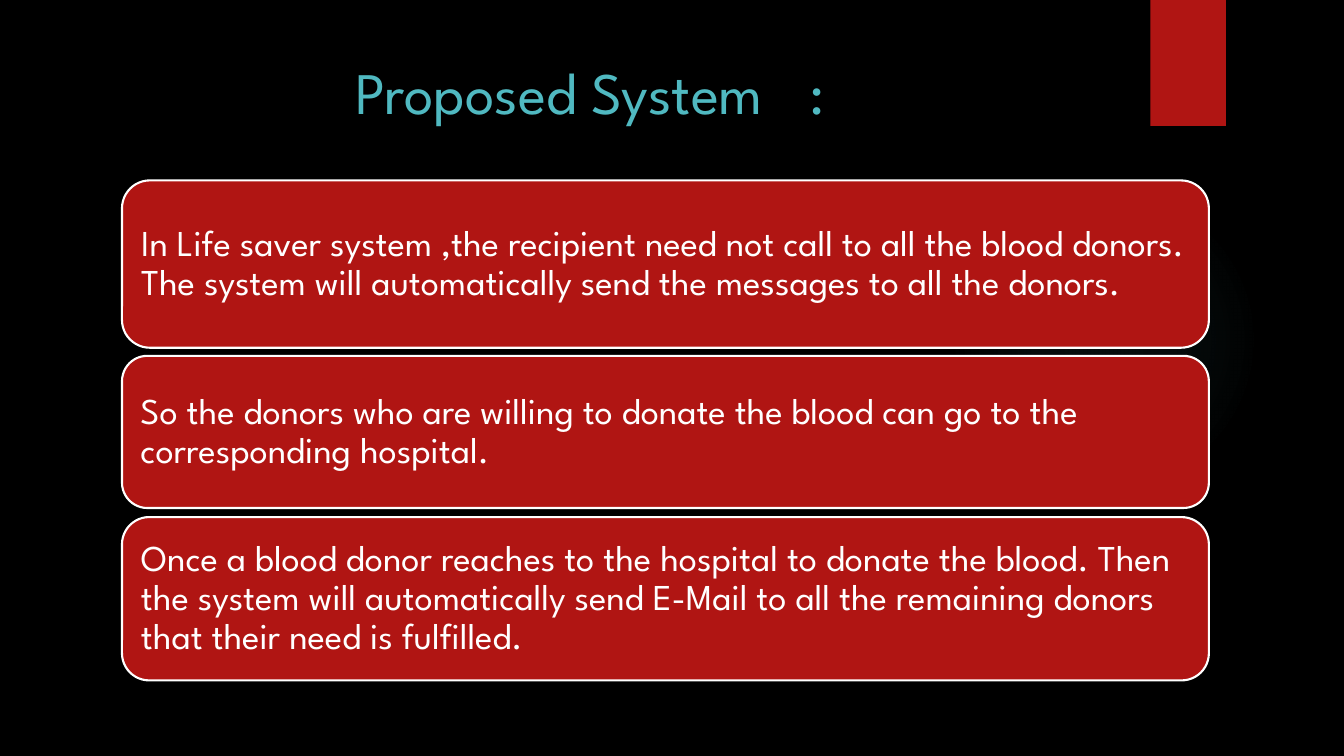
from lxml import etree
from pptx import Presentation
from pptx.dml.color import RGBColor
from pptx.enum.shapes import MSO_SHAPE as Shape
from pptx.enum.text import MSO_ANCHOR as Anchor, PP_ALIGN as Align
from pptx.oxml import parse_xml
from pptx.oxml.ns import nsdecls
from pptx.util import Inches, Pt

BLACK = RGBColor(0x00, 0x00, 0x00)
TEAL = RGBColor(0x50, 0xB9, 0xC1)
RED = RGBColor(0xB0, 0x15, 0x13)
WHITE = RGBColor(0xFF, 0xFF, 0xFF)
FONT = "League Spartan"

# top, height, text
CARDS = [
    (1.79, 1.66, "In Life saver system ,the recipient need not call to all the blood donors. "
                 "The system will automatically send the messages to all the donors."),
    (3.53, 1.51, "So the donors who are willing to donate the blood can go to the "
                 "corresponding hospital."),
    (5.13, 1.62, "Once a blood donor reaches to the hospital to donate the blood. Then the "
                 "system will automatically send E-Mail to all the remaining donors that "
                 "their need is fulfilled."),
]


def add_flat_shape(kind, left, top, width, height):
    shape = page.shapes.add_shape(
        kind, Inches(left), Inches(top), Inches(width), Inches(height))
    shape.shadow.inherit = False
    shape.fill.solid()
    shape.fill.fore_color.rgb = RED
    shape.line.fill.background()
    return shape


def style_text(para, size, color):
    para.font.name = FONT
    para.font.size = Pt(size)
    para.font.color.rgb = color


deck = Presentation()
deck.slide_width = Inches(13.33)
deck.slide_height = Inches(7.5)
page = deck.slides.add_slide(deck.slide_layouts[6])
page.background.fill.solid()
page.background.fill.fore_color.rgb = BLACK

# Faint radial glow behind the cards
glow = add_flat_shape(Shape.OVAL, 9.41, 1.83, 3.08, 3.08)
gradient = parse_xml(
    f'<a:gradFill {nsdecls("a")} rotWithShape="1"><a:gsLst/><a:path path="circle">'
    '<a:fillToRect l="50000" t="50000" r="50000" b="50000"/></a:path></a:gradFill>')
main_ns = "{%s}" % gradient.nsmap["a"]
for position, opacity in [(0, 7), (36, 6), (69, 0)]:
    stop = etree.SubElement(gradient[0], main_ns + "gs", pos=str(position * 1000))
    tint = etree.SubElement(stop, main_ns + "srgbClr", val=str(TEAL))
    etree.SubElement(tint, main_ns + "alpha", val=str(opacity * 1000))
solid = glow._element.spPr.find(main_ns + "solidFill")
solid.getparent().replace(solid, gradient)

ribbon = add_flat_shape(Shape.RECTANGLE, 11.41, 0, 0.75, 1.25)

title = page.shapes.add_textbox(Inches(0.71), Inches(0.5), Inches(10.29), Inches(1.53))
title.text_frame.word_wrap = True
para = title.text_frame.paragraphs[0]
para.text = "Proposed System\t:"
para.alignment = Align.CENTER
style_text(para, 42, TEAL)

for top, height, text in CARDS:
    card = add_flat_shape(Shape.ROUNDED_RECTANGLE, 1.21, top, 10.78, height)
    card.line.color.rgb = WHITE
    card.line.width = Pt(1.5)
    frame = card.text_frame
    frame.word_wrap = True
    frame.vertical_anchor = Anchor.MIDDLE
    frame.margin_left = frame.margin_right = Inches(0.11)
    frame.margin_top = frame.margin_bottom = Inches(0.11)
    para = frame.paragraphs[0]
    para.text = text
    para.alignment = Align.LEFT
    para.line_spacing = 0.9
    style_text(para, 26, WHITE)

deck.save("out.pptx")
